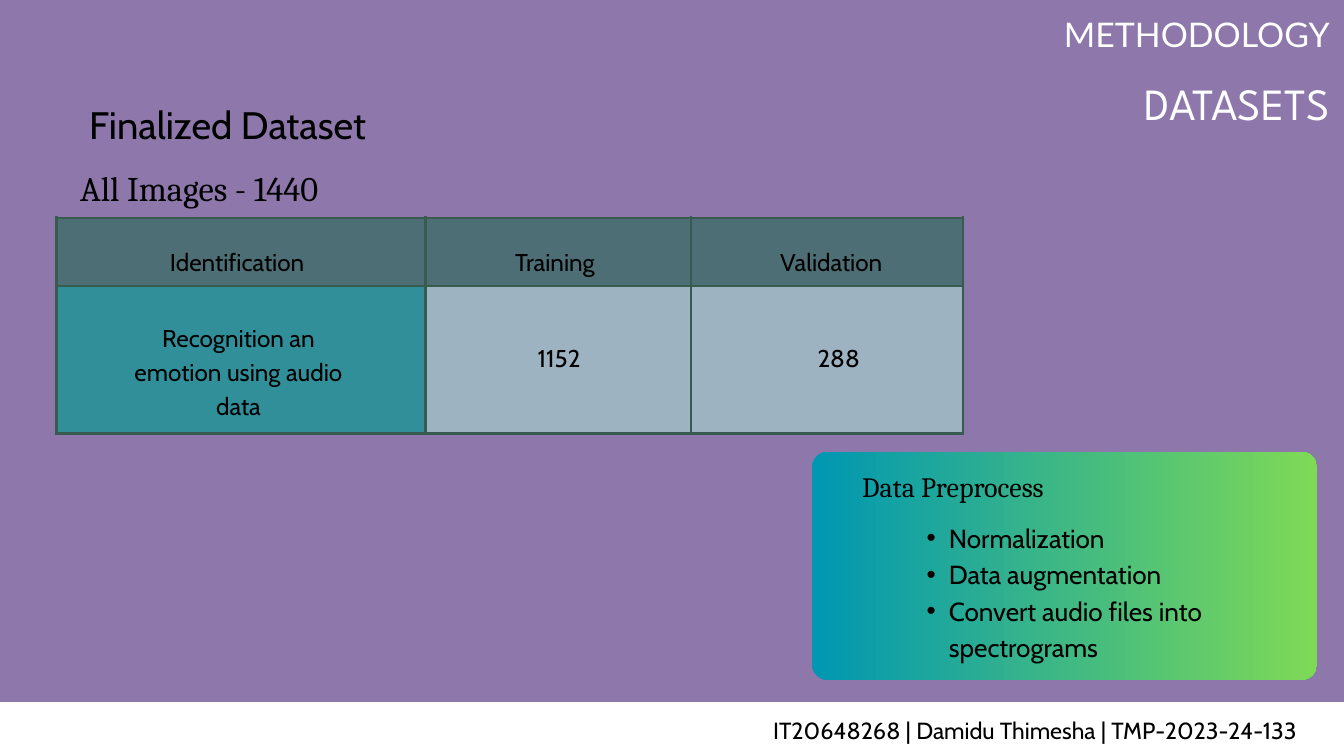
from typing import NamedTuple

from lxml.etree import SubElement
from pptx import Presentation
from pptx.dml.color import RGBColor
from pptx.enum.shapes import MSO_SHAPE
from pptx.enum.text import PP_ALIGN
from pptx.oxml.ns import qn
from pptx.util import Inches, Pt

PURPLE = RGBColor(0x8D, 0x77, 0xAB)
SLATE = RGBColor(0x4D, 0x6E, 0x74)
TEAL = RGBColor(0x31, 0x8F, 0x9A)
MIST = RGBColor(0x9D, 0xB3, 0xC1)
BORDER = RGBColor(0x38, 0x5B, 0x4F)
BLUE = RGBColor(0x00, 0x97, 0xB2)
GREEN = RGBColor(0x7E, 0xD9, 0x57)
BLACK = RGBColor(0, 0, 0)
WHITE = RGBColor(0xFF, 0xFF, 0xFF)

COL_WIDTHS = (5.49, 3.95, 4.05)
ROW_HEIGHTS = (1.02, 2.19)
CELL_FILLS = ((SLATE, SLATE, SLATE), (TEAL, MIST, MIST))


class Label(NamedTuple):
    text: str
    left: float
    top: float
    width: float
    height: float
    size: float = 26
    font: str = "Cabin"
    color: RGBColor = BLACK
    align: PP_ALIGN = PP_ALIGN.CENTER
    bullets: bool = False


TABLE_LABELS = (
    Label("Identification", 2.26, 3.6, 2.54, 0.49),
    Label("Training", 6.99, 3.6, 2.54, 0.49),
    Label("Validation", 11.1, 3.6, 2.54, 0.49),
    Label("Recognition an emotion using audio data", 1.75, 4.74, 3.6, 1.49),
    Label("1152", 7.13, 5.03, 2.38, 0.49),
    Label("288", 11.29, 5.03, 2.38, 0.49),
)
HEADINGS = (
    Label("Finalized Dataset", 0.84, 1.39, 5.1, 0.76, 41),
    Label("All Images - 1440", 0.92, 2.38, 4.09, 0.69, 37, "Cambria"),
    Label("DATASETS", 15.89, 0.99, 3.9, 0.89, 47.8, "League Spartan", WHITE, PP_ALIGN.RIGHT),
    Label("METHODOLOGY", 15.72, 0.1, 4.07, 0.68, 36.3, "Lato", WHITE, PP_ALIGN.RIGHT),
)
PREPROCESS_LABELS = (
    Label("Data Preprocess", 12.52, 6.9, 3.32, 0.58, 30, "Cambria"),
    Label("Normalization\nData augmentation\nConvert audio files into spectrograms",
          13.46, 7.69, 5.38, 2.15, 28, align=PP_ALIGN.LEFT, bullets=True),
)
FOOTER = Label("IT20648268 | Damidu Thimesha | TMP-2023-24-133", 11.15, 10.59, 8.5, 0.46, 25)


def add_bullet(p) -> None:
    pPr = p._p.get_or_add_pPr()
    pPr.set("marL", str(Inches(0.66)))
    pPr.set("indent", str(Inches(-0.33)))
    SubElement(pPr, qn("a:buFont")).set("typeface", "Arial")
    SubElement(pPr, qn("a:buChar")).set("char", "•")


def add_label(slide, label: Label) -> None:
    box = slide.shapes.add_textbox(Inches(label.left), Inches(label.top),
                                   Inches(label.width), Inches(label.height))
    tf = box.text_frame
    tf.word_wrap = True
    tf.margin_left = tf.margin_right = tf.margin_top = tf.margin_bottom = 0
    tf.text = label.text
    for p in tf.paragraphs:
        p.alignment = label.align
        p.line_spacing = Pt(round(label.size * 1.4, 1))
        if label.bullets:
            p.level = 1
            add_bullet(p)
        for r in p.runs:
            r.font.size = Pt(label.size)
            r.font.name = label.font
            r.font.color.rgb = label.color


def add_borders(cell) -> None:
    """Outline a cell; its border elements must precede its fill."""
    tcPr = cell._tc.get_or_add_tcPr()
    for side in ("lnL", "lnR", "lnT", "lnB"):
        ln = SubElement(tcPr, qn(f"a:{side}"), w=str(Pt(3)))
        fill = SubElement(ln, qn("a:solidFill"))
        SubElement(fill, qn("a:srgbClr"), val=str(BORDER))


def add_dataset_table(slide) -> None:
    frame = slide.shapes.add_table(len(ROW_HEIGHTS), len(COL_WIDTHS), Inches(0.84), Inches(3.24),
                                   Inches(sum(COL_WIDTHS)), Inches(sum(ROW_HEIGHTS)))
    table = frame.table
    for column, width in zip(table.columns, COL_WIDTHS):
        column.width = Inches(width)
    for row, height, fills in zip(table.rows, ROW_HEIGHTS, CELL_FILLS):
        row.height = Inches(height)
        for cell, color in zip(row.cells, fills):
            add_borders(cell)
            cell.fill.solid()
            cell.fill.fore_color.rgb = color


def add_panel(slide, preset: MSO_SHAPE, left: float, top: float, width: float, height: float):
    sp = slide.shapes.add_shape(preset, Inches(left), Inches(top), Inches(width), Inches(height))
    sp.shadow.inherit = False
    sp.line.fill.background()
    return sp


def main() -> None:
    prs = Presentation()
    prs.slide_width, prs.slide_height = Inches(20), Inches(11.25)
    slide = prs.slides.add_slide(prs.slide_layouts[6])
    slide.background.fill.solid()
    slide.background.fill.fore_color.rgb = PURPLE

    add_dataset_table(slide)
    card = add_panel(slide, MSO_SHAPE.ROUNDED_RECTANGLE, 12.08, 6.72, 7.52, 3.4)
    card.adjustments[0] = 0.07
    card.fill.gradient()
    card.fill.gradient_angle = 0
    for stop, color in zip(card.fill.gradient_stops, (BLUE, GREEN)):
        stop.color.rgb = color
    band = add_panel(slide, MSO_SHAPE.RECTANGLE, 0, 10.45, 20, 0.8)
    band.fill.solid()
    band.fill.fore_color.rgb = WHITE

    for label in (*HEADINGS, *TABLE_LABELS, *PREPROCESS_LABELS, FOOTER):
        add_label(slide, label)
    prs.save("out.pptx")


if __name__ == "__main__":
    main()
